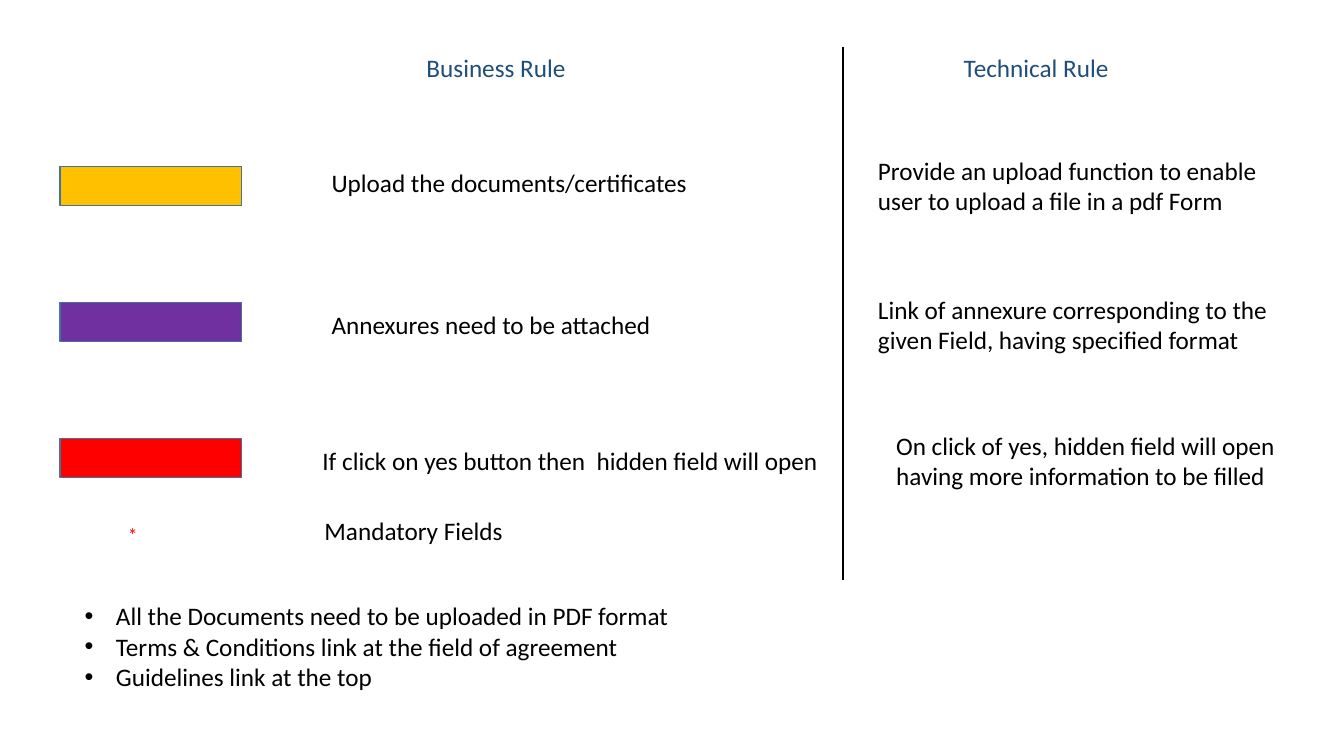
from lxml import etree
from pptx import Presentation
from pptx.dml.color import RGBColor
from pptx.enum.shapes import MSO_CONNECTOR, MSO_SHAPE
from pptx.enum.text import MSO_ANCHOR, MSO_AUTO_SIZE, PP_ALIGN
from pptx.oxml.ns import qn
from pptx.util import Inches, Pt

MINUS = MSO_SHAPE.MATH_MINUS
STRAIGHT = MSO_CONNECTOR.STRAIGHT
TOP = MSO_ANCHOR.TOP
LEFT = PP_ALIGN.LEFT
NO_FIT = MSO_AUTO_SIZE.NONE

FONT = "Calibri"
COLORS = {
    "text": "000000",
    "heading": "1F4E79",
    "outline": "43739E",
    "upload": "FFC000",
    "annexure": "7030A0",
    "hidden": "FF0000",
}

# Grid, in inches: rule rows share one pitch, text starts at fixed columns.
FIRST_ROW, ROW_PITCH = 1.02, 1.35
MARKER_LEFT, MARKER_WIDTH, MARKER_HEIGHT = 0.27, 2.45, 1.65
HEADING_TOP, LINE_HEIGHT = 0.47, 0.4
DIVIDER_LEFT, DIVIDER_BOTTOM = 8.36, 5.75

# Marker colour, then (text, column, offset within the row) for each rule.
RULES = [
    ("upload",
     ("Upload the documents/certificates", 3.19, 0.59),
     ("Provide an upload function to enable user to upload a file in a pdf Form",
      8.61, 0.47)),
    ("annexure",
     ("Annexures need to be attached", 3.19, 0.65),
     ("Link of annexure corresponding to the given Field, having specified format",
      8.61, 0.5)),
    ("hidden",
     ("If click on yes button then  hidden field will open", 3.1, 0.65),
     ("On click of yes, hidden field will open having more information to be filled",
      8.79, 0.5)),
]
NOTES = [
    "All the Documents need to be uploaded in PDF format",
    "Terms & Conditions link at the field of agreement",
    "Guidelines link at the top",
]


def color(name):
    """Return the named colour."""
    return RGBColor.from_string(COLORS[name])


def write_text(shape, *lines, size=18, ink="text", hanging=None):
    """Fill a shape with left-aligned lines, with a hanging indent if given."""
    frame = shape.text_frame
    frame.word_wrap = True
    frame.auto_size = NO_FIT
    frame.vertical_anchor = TOP
    frame.text = "\n".join(lines)
    for paragraph in frame.paragraphs:
        paragraph.alignment = LEFT
        paragraph.space_before = Pt(0)
        paragraph.font.name = FONT
        paragraph.font.size = Pt(size)
        paragraph.font.color.rgb = color(ink)
        for run in paragraph.runs:
            run.font.name = FONT
            run.font.size = Pt(size)
            run.font.color.rgb = color(ink)
        if hanging:
            properties = paragraph._p.get_or_add_pPr()
            properties.set("marL", str(Inches(hanging)))
            properties.set("indent", str(-Inches(hanging)))


def place(shape, left, top, width, height):
    """Move and size a placeholder, in inches."""
    shape.left, shape.top = Inches(left), Inches(top)
    shape.width, shape.height = Inches(width), Inches(height)


def add_text(slide, text, left, top, width, height=LINE_HEIGHT, **text_format):
    """Add a text box."""
    box = slide.shapes.add_textbox(
        Inches(left), Inches(top), Inches(width), Inches(height))
    write_text(box, text, **text_format)


def add_marker(slide, top, fill):
    """Add the coloured bar that stands for one rule."""
    marker = slide.shapes.add_shape(
        MINUS, Inches(MARKER_LEFT), Inches(top),
        Inches(MARKER_WIDTH), Inches(MARKER_HEIGHT))
    marker.shadow.inherit = False
    marker.fill.solid()
    marker.fill.fore_color.rgb = color(fill)
    marker.line.color.rgb = color("outline")
    marker.line.width = Pt(1)


def add_divider(slide):
    """Add the vertical line between business and technical rules."""
    divider = slide.shapes.add_connector(
        STRAIGHT, Inches(DIVIDER_LEFT), Inches(HEADING_TOP),
        Inches(DIVIDER_LEFT), Inches(DIVIDER_BOTTOM))
    divider.line.color.rgb = color("text")
    divider.line.width = Pt(1.5)
    etree.SubElement(divider._element.spPr, qn("a:effectLst"))


def main():
    """Build the slide and save it."""
    presentation = Presentation()
    presentation.slide_width = Inches(13.33)
    presentation.slide_height = Inches(7.5)
    slide = presentation.slides.add_slide(presentation.slide_layouts[1])

    title, notes = slide.placeholders
    place(title, 4.13, HEADING_TOP, 1.88, LINE_HEIGHT)
    write_text(title, "Business Rule", ink="heading")
    add_text(slide, "Technical Rule", 9.46, HEADING_TOP, 1.88, ink="heading")
    add_divider(slide)

    for row, (fill, business, technical) in enumerate(RULES):
        top = FIRST_ROW + row * ROW_PITCH
        add_marker(slide, top, fill)
        text, left, offset = business
        add_text(slide, text, left, top + offset, 5.17)
        text, left, offset = technical
        add_text(slide, text, left, top + offset, 4.2, 0.71)

    add_text(slide, "*", 1.17, 5.14, 0.65, 0.34, size=14, ink="hidden")
    add_text(slide, "Mandatory Fields", 3.12, 5.06, 5.17)

    place(notes, 0.74, 5.91, 6.07, 1.01)
    write_text(notes, *NOTES, hanging=0.31)
    presentation.save("out.pptx")


main()
